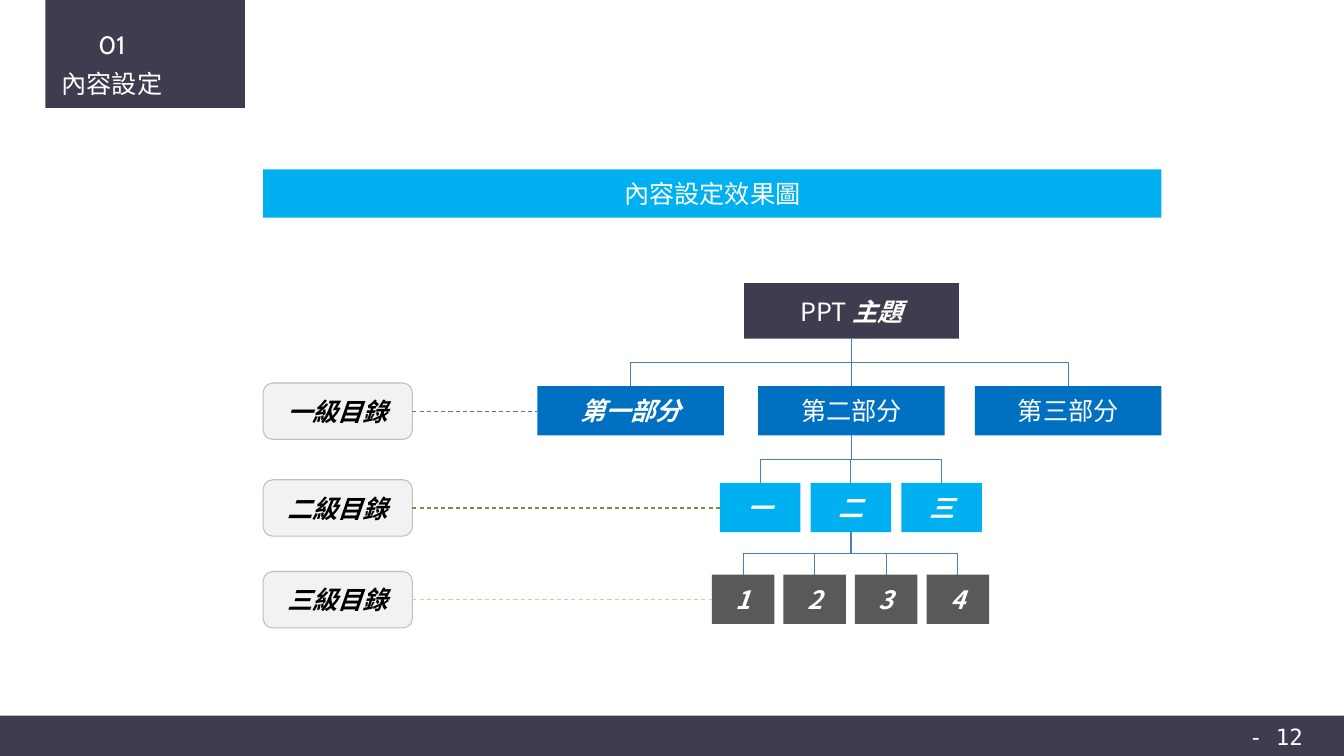
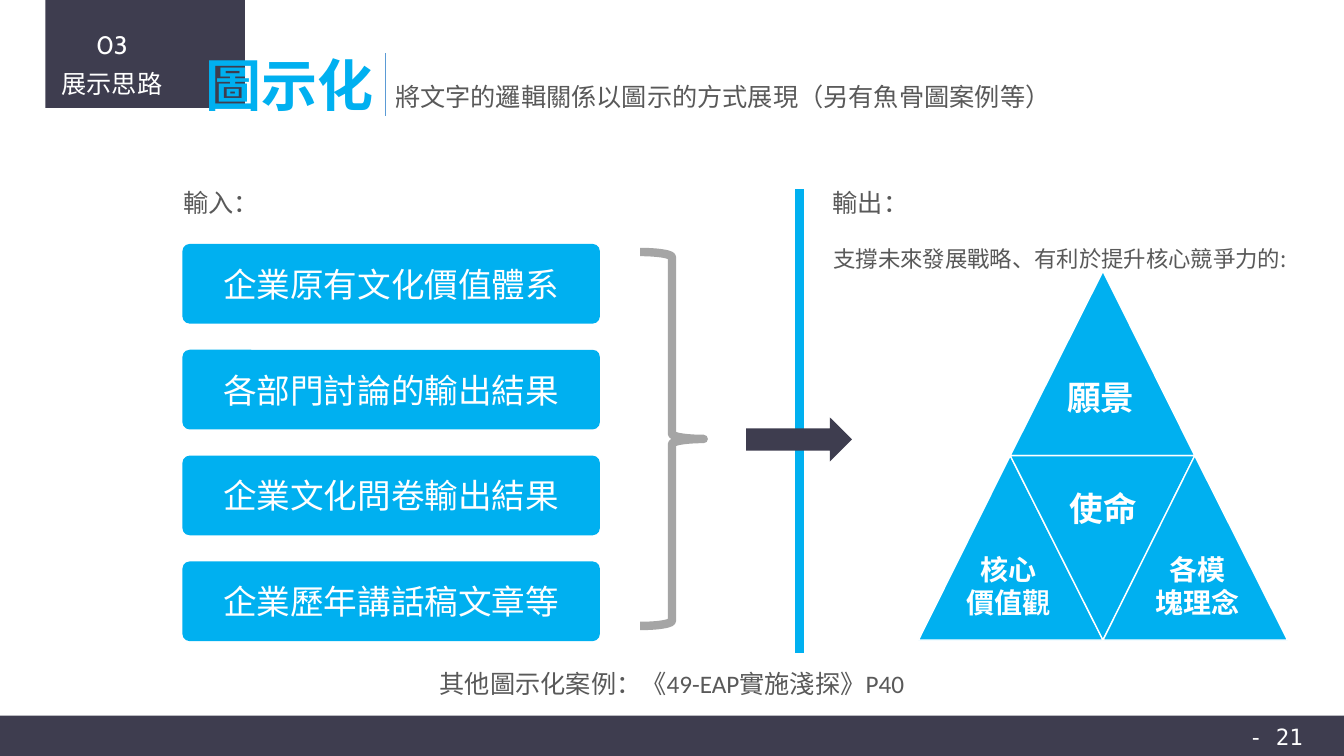
from dataclasses import dataclass

from lxml import etree
from pptx import Presentation
from pptx.dml.color import RGBColor
from pptx.enum import dml, shapes, text
from pptx.oxml.ns import qn
from pptx.util import Pt

PX = 9144  # 100 px to the inch
SHAPE = shapes.MSO_SHAPE
LEFT, CENTER = text.PP_ALIGN.LEFT, text.PP_ALIGN.CENTER


@dataclass(frozen=True)
class Theme:
    navy: str = "3E3D4F"
    blue: str = "0070C0"
    cyan: str = "00B0F0"
    slate: str = "595959"
    link: str = "4A7DBA"
    rule: str = "5B9BD5"
    brace: str = "A5A5A5"
    pale: str = "F2F2F2"
    border: str = "BFBFBF"
    white: str = "FFFFFF"
    black: str = "000000"
    cjk: str = "Noto Sans CJK SC"
    latin: str = "Calibri"
    number: str = "Cabin"
    mono: str = "DejaVu Sans Mono"
    title: int = 40
    large: int = 24
    medium: int = 20
    body: int = 18
    small: int = 16


T = Theme()

BANDS = [(45, 0, 198, 107), (0, 710, 1333, 42)]
EMPHASIS = {"bold": True, "italic": True}

TREE_BANNER = "內容設定效果圖"
TOPIC = {"box": (738, 281, 213, 55), "runs": [("PPT ", {}), ("主題", EMPHASIS)]}
# parent: index of the box in the row above that the row hangs from
TREE_ROWS = [
    {"label": "一級目錄", "top": 383, "width": 185, "lefts": (533, 752, 967), "parent": 0,
     "fill": T.blue, "guide": T.link, "names": ["第一部分", "第二部分", "第三部分"], "strong": 1},
    {"label": "二級目錄", "top": 479, "width": 80, "lefts": range(714, 895, 90), "parent": 1,
     "fill": T.cyan, "guide": "76923C", "names": ["一", "二", "三"], "strong": 3},
    {"label": "三級目錄", "top": 570, "width": 62, "lefts": range(706, 920, 71), "parent": 1,
     "fill": T.slate, "guide": "FABF8E", "names": ["1", "2", "3", "4"], "strong": 4},
]
ROW_HEIGHT = 49
LABEL_LEFT, LABEL_WIDTH, LABEL_HEIGHT = 261, 148, 56

INPUTS = ["企業原有文化價值體系", "各部門討論的輸出結果", "企業文化問卷輸出結果", "企業歷年講話稿文章等"]
INPUT_LEFT, INPUT_TOP, INPUT_PITCH = 181, 242, 105

SPACED = {"line_spacing": 1.3, "color": T.slate}
GREY = {"color": T.slate, "font": T.latin}
CAPTIONS = [
    ((194, 45, 189, 77), ["圖示化"],
     {"size": T.title, "font": T.latin, "color": T.cyan, "bold": True, "wrap": False}),
    ((382, 76, 677, 40), ["將文字的邏輯關係以圖示的方式展現（另有魚骨圖案例等）"], {**GREY, "wrap": False}),
    ((172, 172, 551, 46), ["輸入："], SPACED),
    ((816, 172, 517, 46), ["輸出："], SPACED),
    ((817, 230, 517, 42), ["支撐未來發展戰略、有利於提升核心競爭力的:"], {**SPACED, "size": T.small}),
    ((386, 658, 561, 40), ["其他圖示化案例：《49-EAP實施淺探》P40"], {**GREY, "align": CENTER}),
]
PYRAMID_X = (911, 1002, 1094, 1185, 1277)
PYRAMID_Y = (269, 452, 635)
# corners as (column, row) of the two lists above
PYRAMID = [
    [(1, 1), (2, 0), (3, 1)],
    [(0, 2), (1, 1), (2, 2)],
    [(3, 1), (2, 2), (1, 1)],
    [(2, 2), (3, 1), (4, 2)],
]
PYRAMID_TEXT = {"bold": True, "wrap": False, "align": CENTER}
PYRAMID_LABELS = [
    ((1048, 369, 88, 51), ["願景"], T.large),
    ((1050, 479, 88, 51), ["使命"], T.large),
    ((948, 543, 104, 77), ["核心", "價值觀"], T.medium),
    ((1136, 543, 104, 77), ["各模", "塊理念"], T.medium),
]


def emu(lengths):
    return [round(length * PX) for length in lengths]


def rgb(value):
    return RGBColor.from_string(value)


def write(frame, paragraphs, size=T.body, font=T.cjk, color=T.white, align=LEFT,
          line_spacing=None, **style):
    """Fill a text frame; a paragraph is a string or a list of (text, format) runs."""
    for index, content in enumerate(paragraphs):
        paragraph = frame.paragraphs[0] if index == 0 else frame.add_paragraph()
        paragraph.alignment = align
        if line_spacing:
            paragraph.line_spacing = line_spacing
        runs = [(content, {})] if isinstance(content, str) else content
        for words, extra in runs:
            run = paragraph.add_run()
            run.text = words
            look = {"name": font, "size": Pt(size), **style, **extra}
            for key, value in look.items():
                setattr(run.font, key, value)
            run.font.color.rgb = rgb(color)
            east_asian = etree.SubElement(run.font._element, qn("a:ea"))
            east_asian.set("typeface", T.cjk)


def add_caption(slide, box, paragraphs, wrap=True, **style):
    frame = slide.shapes.add_textbox(*emu(box)).text_frame
    frame.word_wrap = wrap
    frame.auto_size = text.MSO_AUTO_SIZE.SHAPE_TO_FIT_TEXT
    write(frame, paragraphs, **style)


def paint(shape, fill=None, line=None, weight=0.75):
    shape.shadow.inherit = False
    if fill:
        shape.fill.solid()
        shape.fill.fore_color.rgb = rgb(fill)
    else:
        shape.fill.background()
    if line:
        shape.line.color.rgb = rgb(line)
        shape.line.width = Pt(weight)
    else:
        shape.line.fill.background()


def add_block(slide, box, fill=None, paragraphs=(), kind=SHAPE.RECTANGLE, corner=None,
              line=None, weight=0.75, **style):
    block = slide.shapes.add_shape(kind, *emu(box))
    if corner is not None:
        block.adjustments[0] = corner
    paint(block, fill, line, weight)
    block.text_frame.vertical_anchor = text.MSO_ANCHOR.MIDDLE
    write(block.text_frame, paragraphs, align=CENTER, **style)


def add_line(slide, ends, color, weight=0.75, dashed=False, kind=shapes.MSO_CONNECTOR.STRAIGHT):
    line = slide.shapes.add_connector(kind, *emu(ends))
    line.line.color.rgb = rgb(color)
    line.line.width = Pt(weight)
    if dashed:
        line.line.dash_style = dml.MSO_LINE.DASH
    etree.SubElement(line._element.spPr, qn("a:effectLst"))
    return line


def add_branch(slide, x1, y1, x2, y2):
    """Elbow that leaves downwards: a sideways elbow turned by a quarter."""
    mid_x, mid_y = (x1 + x2) / 2, (y1 + y2) / 2
    half_w, half_h = (y2 - y1) / 2, abs(x2 - x1) / 2
    rightwards = x2 > x1
    if rightwards:
        half_w = -half_w
    ends = (mid_x - half_w, mid_y - half_h, mid_x + half_w, mid_y + half_h)
    branch = add_line(slide, ends, T.link, kind=shapes.MSO_CONNECTOR.ELBOW)
    degrees = 270 if rightwards else 90
    branch._element.spPr.find(qn("a:xfrm")).set("rot", str(degrees * 60000))


def start_slide(deck, number, section, page):
    slide = deck.slides.add_slide(deck.slide_layouts[6])
    for band in BANDS:
        add_block(slide, band, T.navy)
    add_caption(slide, (1218, 712, 95, 37), [f"- {page} - "],
                size=T.small, font=T.mono, align=CENTER)
    heading = [[(number, {"name": T.number})], section]
    add_caption(slide, (45, 15, 132, 89), heading, font=T.latin, align=CENTER, line_spacing=1.3)
    return slide


def build_tree(deck):
    slide = start_slide(deck, "01", "內容設定", 12)
    add_block(slide, TOPIC["box"], T.navy, [TOPIC["runs"]])
    left, top, width, height = TOPIC["box"]
    above = {"centres": [left + width / 2], "bottom": top + height}
    for row in TREE_ROWS:
        top, width = row["top"], row["width"]
        centres = [left + width / 2 for left in row["lefts"]]
        for index, (left, name) in enumerate(zip(row["lefts"], row["names"])):
            style = EMPHASIS if index < row["strong"] else {}
            add_block(slide, (left, top, width, ROW_HEIGHT), row["fill"], [name], **style)
            add_branch(slide, above["centres"][row["parent"]], above["bottom"],
                       centres[index], top)
        above = {"centres": centres, "bottom": top + ROW_HEIGHT}

        add_block(slide, (LABEL_LEFT, top - 3, LABEL_WIDTH, LABEL_HEIGHT), T.pale, [row["label"]],
                  kind=SHAPE.ROUNDED_RECTANGLE, line=T.border, color=T.black, **EMPHASIS)
        middle = top - 3 + LABEL_HEIGHT / 2
        add_line(slide, (LABEL_LEFT + LABEL_WIDTH, middle, row["lefts"][0], middle),
                 row["guide"], dashed=True)
    add_block(slide, (261, 168, 891, 48), T.cyan, [TREE_BANNER])


def build_diagram(deck):
    slide = start_slide(deck, "03", "展示思路", 21)
    for box, paragraphs, style in CAPTIONS:
        add_caption(slide, box, paragraphs, **style)
    add_line(slide, (382, 53, 382, 115), T.rule, 0.5)
    add_line(slide, (793, 188, 793, 648), T.cyan, 6)
    add_block(slide, (740, 414, 105, 44), T.navy, kind=SHAPE.RIGHT_ARROW)
    add_block(slide, (635, 250, 63, 371), kind=SHAPE.RIGHT_BRACE, corner=0.08,
              line=T.brace, weight=6)
    for index, name in enumerate(INPUTS):
        add_block(slide, (INPUT_LEFT, INPUT_TOP + index * INPUT_PITCH, 414, 79), T.cyan, [name],
                  kind=SHAPE.ROUNDED_RECTANGLE, corner=0.09, size=T.large)
    for corners in PYRAMID:
        first, *others = [(PYRAMID_X[column], PYRAMID_Y[row]) for column, row in corners]
        outline = slide.shapes.build_freeform(*first, scale=PX)
        outline.add_line_segments(others, close=True)
        paint(outline.convert_to_shape(), T.cyan, T.white, 1)
    for box, paragraphs, size in PYRAMID_LABELS:
        add_caption(slide, box, paragraphs, size=size, **PYRAMID_TEXT)


def main():
    deck = Presentation()
    deck.slide_width, deck.slide_height = emu((1333, 750))
    build_tree(deck)
    build_diagram(deck)
    deck.save("out.pptx")


if __name__ == "__main__":
    main()
